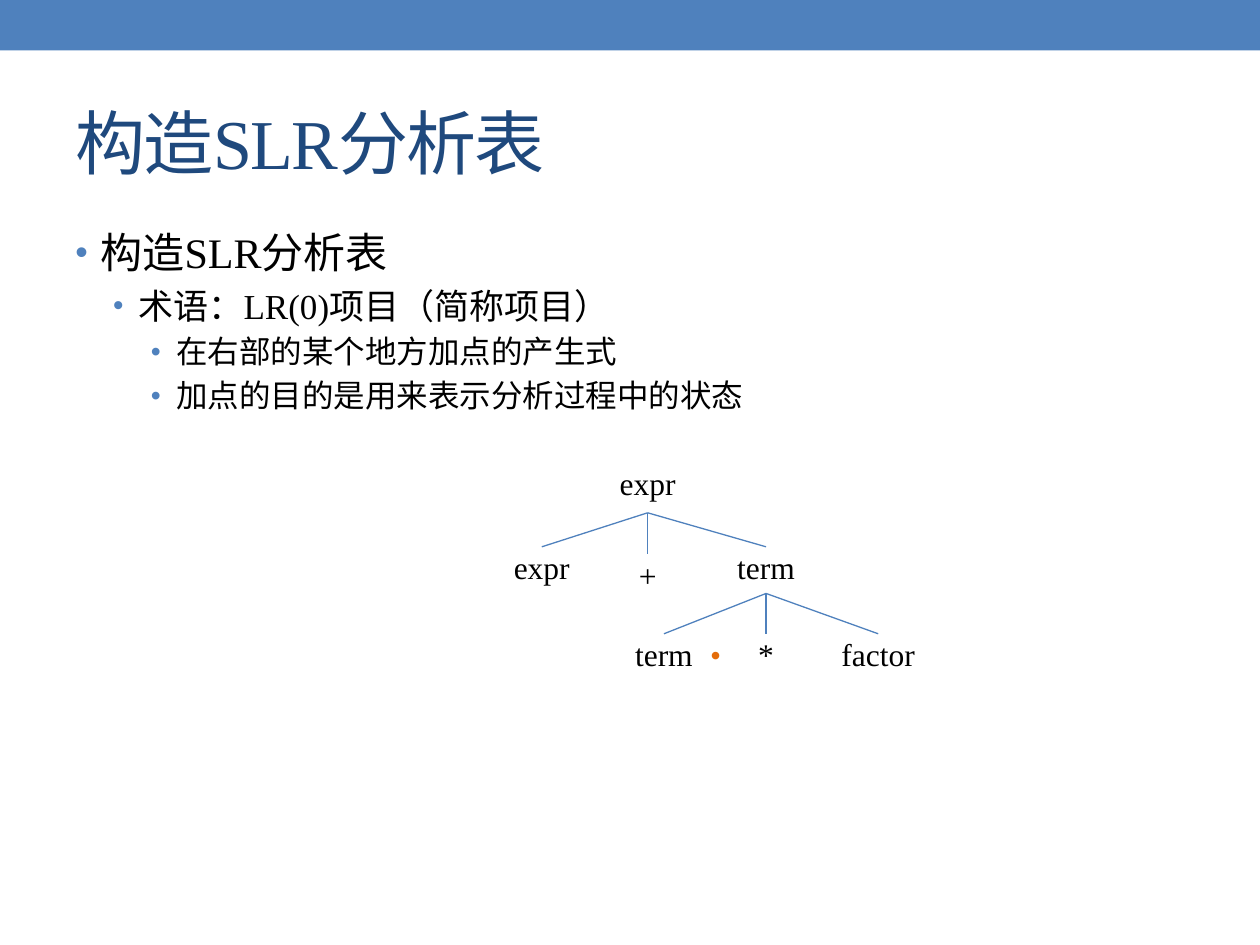
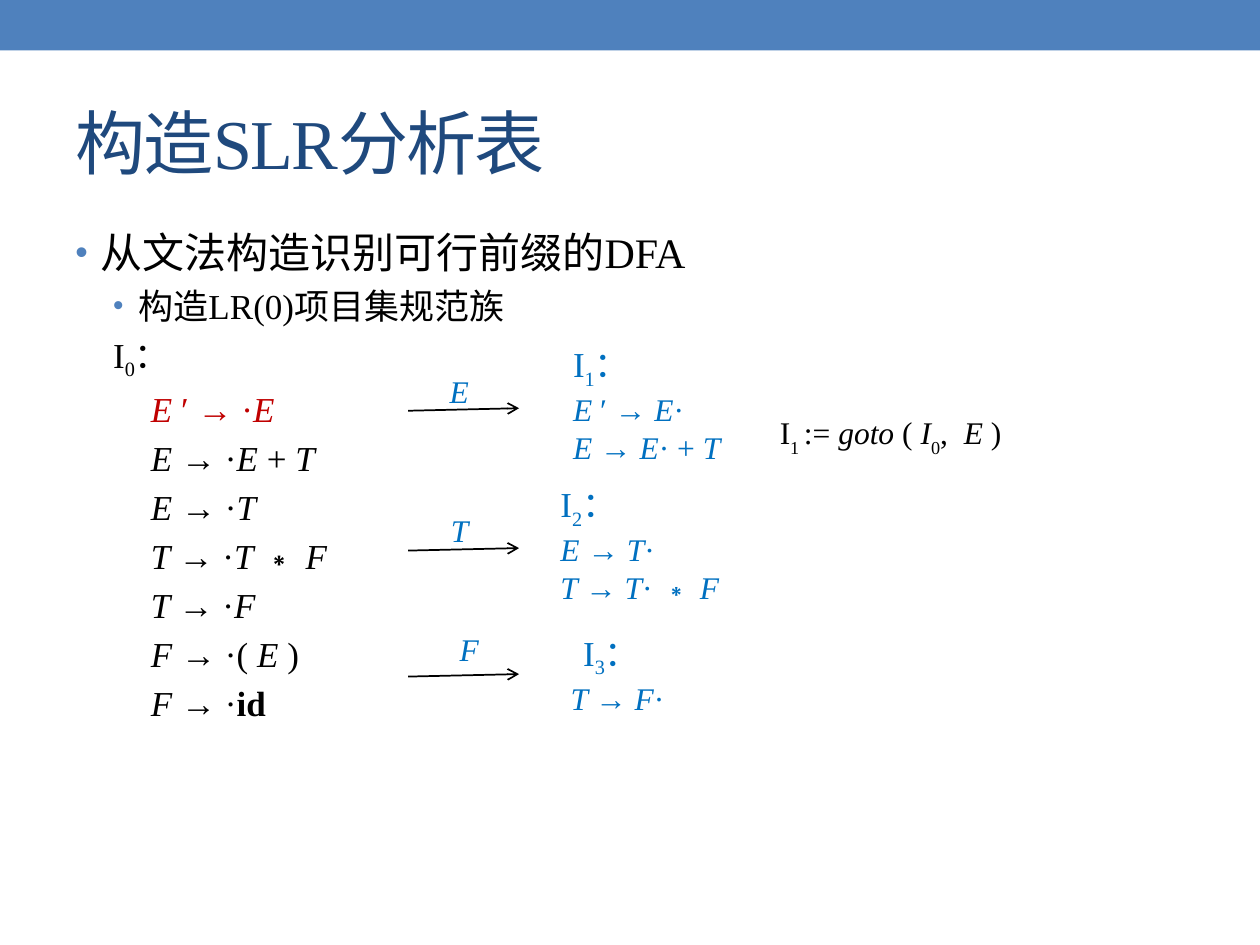
"""Two lecture slides on building SLR parsing tables."""
from dataclasses import dataclass
from typing import Any, Optional

import pptx
import pptx.dml.color
import pptx.enum.shapes
import pptx.enum.text
import pptx.oxml
import pptx.oxml.ns
import pptx.util

Inches = pptx.util.Inches
Align = pptx.enum.text.PP_ALIGN
Fit = pptx.enum.text.MSO_AUTO_SIZE
FONT = "Times New Roman"
TITLE = "构造SLR分析表"
COLOURS = {"band": "4F81BD", "title": "1F497D", "text": "000000",
           "dot": "E46C0A", "start": "C00000", "item": "0070C0"}
# Each marker switches one kind of formatting on or off inside a text.
MARKERS = {"_": "italic", "#": "bold", "~": "subscript"}
TREE_INSETS = (0.02, 0.01)
BOX_INSETS = (0.1, 0.05)


@dataclass
class Para:
    """A paragraph in marker notation; lengths in inches, sizes in points."""
    text: str
    size: int = 18
    colour: str = "text"
    left: float = 0
    bullet: int = 0  # bullet size in percent, 0 for none
    gap: float = 0  # space before, as a share of the text size
    align: Any = Align.LEFT
    base: int = -25  # subscript shift in percent


@dataclass
class Node:
    """A tree label, placed by the middle of its top edge."""
    text: str
    x: float
    y: float
    w: float = 0.64
    h: float = 0.37
    parent: Optional[int] = None
    colour: str = "text"


@dataclass
class Transition:
    """An arrow from the first item set to another one."""
    label: str
    label_at: tuple[float, float]
    arrow_y: float
    set_at: tuple[float, float]
    set_h: float
    items: list[Para]


def rgb(name: str) -> pptx.dml.color.RGBColor:
    """Look up a named colour."""
    return pptx.dml.color.RGBColor.from_string(COLOURS[name])


def apply(obj: Any, formats: dict[str, Any]) -> None:
    """Set attributes from a dict of format values."""
    for name, value in formats.items():
        setattr(obj, name, value)


def add_xml(parent: Any, tag: str, **attrs: str) -> Any:
    """Append a drawing element."""
    child = pptx.oxml.parse_xml(f'<a:{tag} {pptx.oxml.ns.nsdecls("a")}/>')
    for name, value in attrs.items():
        child.set(name, value)
    parent.append(child)
    return child


def add_run(p: Any, text: str, para: Para, on: dict[str, bool]) -> None:
    """Add one run with the switched-on formatting."""
    r = p.add_run()
    r.text = text
    apply(r.font, {"name": FONT, "size": pptx.util.Pt(para.size),
                   "italic": on["italic"], "bold": on["bold"]})
    r.font.color.rgb = rgb(para.colour)
    if on["subscript"]:
        r.font._element.set("baseline", str(para.base * 1000))


def fill_para(p: Any, para: Para) -> None:
    """Write a paragraph: spacing, indent, bullet and runs."""
    apply(p, {"alignment": para.align,
              "space_before": pptx.util.Pt(round(para.gap * para.size, 1))})
    pPr = p._p.get_or_add_pPr()
    pPr.set("marL", str(Inches(para.left)))
    pPr.set("indent", str(Inches(-0.2 if para.bullet else 0)))
    if para.bullet:
        add_xml(add_xml(pPr, "buClr"), "srgbClr", val=COLOURS["band"])
        add_xml(pPr, "buSzPct", val=str(para.bullet * 1000))
        add_xml(pPr, "buFont", typeface="Arial")
        add_xml(pPr, "buChar", char="•")
    else:
        add_xml(pPr, "buNone")
    on = dict.fromkeys(MARKERS.values(), False)
    chunk = ""
    for char in para.text:
        if char not in MARKERS:
            chunk += char
            continue
        if chunk:
            add_run(p, chunk, para, on)
        chunk = ""
        on[MARKERS[char]] = not on[MARKERS[char]]
    if chunk:
        add_run(p, chunk, para, on)


def add_text(shapes: Any, box: tuple[float, ...], paras: list[Para],
             insets: tuple[float, float] = BOX_INSETS, fit: Any = Fit.NONE) -> None:
    """Add a wrapping text box with the given paragraphs."""
    tf = shapes.add_textbox(*map(Inches, box)).text_frame
    side, top = map(Inches, insets)
    apply(tf, {"word_wrap": True, "auto_size": fit, "margin_left": side,
               "margin_right": side, "margin_top": top, "margin_bottom": top})
    for i, para in enumerate(paras):
        fill_para(tf.add_paragraph() if i else tf.paragraphs[0], para)


def add_line(shapes: Any, ends: tuple[float, ...], colour: str, width: float,
             arrow: bool = False) -> None:
    """Add a straight line, with an open arrowhead if asked."""
    line = shapes.add_connector(pptx.enum.shapes.MSO_CONNECTOR.STRAIGHT,
                                *map(Inches, ends))
    line.line.color.rgb = rgb(colour)
    line.line.width = pptx.util.Pt(width)
    if arrow:
        add_xml(line.line._get_or_add_ln(), "tailEnd", type="arrow")
    add_xml(line._element.spPr, "effectLst")


def add_slide(prs: Any, body: list[Para]) -> Any:
    """Add a slide with the shared band and title, and its body text."""
    s = prs.slides.add_slide(prs.slide_layouts[5])
    band = s.shapes.add_shape(pptx.enum.shapes.MSO_SHAPE.RECTANGLE, 0, 0,
                              prs.slide_width, Inches(0.4))
    band.shadow.inherit = False
    band.fill.solid()
    band.fill.fore_color.rgb = rgb("band")
    band.line.fill.background()

    sp = s.shapes.title
    apply(sp, {"left": Inches(0.5), "top": Inches(0.58),
               "width": Inches(9), "height": Inches(1.08)})
    apply(sp.text_frame, {"vertical_anchor": pptx.enum.text.MSO_ANCHOR.MIDDLE,
                          "word_wrap": True, "auto_size": Fit.NONE})
    p = sp.text_frame.paragraphs[0]
    fill_para(p, Para(TITLE, 40, "title"))
    p.runs[0].font._element.set("spc", "-100")

    add_text(s.shapes, (0.5, 1.75, 9, 5.33), body)
    return s


def bullet(text: str, level: int) -> Para:
    """Make a bulleted body paragraph of level 0, 1 or 2."""
    return Para(text, (24, 20, 18)[level], left=round(0.2 + 0.3 * level, 2),
                bullet=(85, 85, 90)[level], gap=0.2)


def production(text: str, colour: str = "text") -> Para:
    """Make a body paragraph for one item of the first set."""
    return Para(text, 20, colour, left=0.6, gap=0.2)


def add_tree(s: Any, nodes: list[Node]) -> None:
    """Draw a parse tree with lines from each parent to its children."""
    shapes = s.shapes.add_group_shape().shapes
    for n in nodes:
        add_text(shapes, (n.x - n.w / 2, n.y, n.w, n.h),
                 [Para(n.text, colour=n.colour, align=Align.CENTER)], TREE_INSETS)
        if n.parent is not None:
            top = nodes[n.parent]
            add_line(shapes, (top.x, top.y + top.h, n.x, n.y), "band", 0.75)


def add_transition(s: Any, t: Transition) -> None:
    """Draw an arrow, its label and the item set it leads to."""
    shapes = s.shapes.add_group_shape().shapes
    add_line(shapes, (3.24, t.arrow_y, 4.12, t.arrow_y - 0.02), "text", 1, True)
    add_text(shapes, (*t.label_at, 0.46, 0.4),
             [Para(f"_{t.label}_", colour="item")], fit=Fit.SHAPE_TO_FIT_TEXT)
    add_text(shapes, (*t.set_at, 2.84, t.set_h), t.items,
             fit=Fit.SHAPE_TO_FIT_TEXT)


def item_set(number: int, items: list[str], head_left: float = 0,
             left: float = 0) -> list[Para]:
    """Make the heading and the items of a numbered set."""
    head = Para(f"I~{number}~：", 20, "item", head_left)
    return [head] + [Para(text, 18, "item", left) for text in items]


TERMS = [bullet("构造SLR分析表", 0),
         bullet("术语：LR(0)项目（简称项目）", 1),
         bullet("在右部的某个地方加点的产生式", 2),
         bullet("加点的目的是用来表示分析过程中的状态", 2)]

TREE = [Node("expr", 5.14, 3.67, 0.69, 0.4),
        Node("expr", 4.3, 4.34, parent=0),
        Node("+", 5.14, 4.4, 0.38, 0.24, parent=0),
        Node("term", 6.08, 4.34, parent=0),
        Node("term", 5.27, 5.03, parent=3),
        Node("*", 6.08, 5.03, 0.38, 0.24, parent=3),
        Node("factor", 6.97, 5.03, parent=3),
        Node("•", 5.68, 5.03, 0.4, 0.3, colour="dot")]

FIRST_SET = [bullet("从文法构造识别可行前缀的DFA", 0),
             bullet("构造LR(0)项目集规范族", 1),
             Para("I~0~：", 20, left=0.3, gap=0.2),
             production("_E _′ → ·_E_", "start"),
             production("_E _→ ·_E _+ _T _"),
             production("_E _→ ·_T_"),
             production("_T _→ ·_T _∗_ F_"),
             production("_T _→ ·_F_"),
             production("_F _→ ·( _E _)"),
             production("_F _→ ·#id#")]

TRANSITIONS = [
    Transition("E", (3.47, 2.9), 3.26, (4.35, 2.67), 1.04,
               item_set(1, ["_E _′ → _E_·", "_E _→ _E_· + _T _"], 0.1, 0.1)),
    Transition("T", (3.48, 4.01), 4.37, (4.35, 3.78), 1.04,
               item_set(2, ["_E _→ _T_·", "_T _→ _T_· ∗_ F_"])),
    Transition("F", (3.55, 4.95), 5.37, (4.43, 4.96), 0.74,
               item_set(3, ["_T _→ _F_·"], 0.1)),
]


def main() -> None:
    """Build both slides and save them."""
    prs = pptx.Presentation()
    prs.slide_width, prs.slide_height = Inches(10), Inches(7.5)

    add_tree(add_slide(prs, TERMS), TREE)

    s = add_slide(prs, FIRST_SET)
    for t in TRANSITIONS:
        add_transition(s, t)
    add_text(s.shapes, (6.09, 3.23, 2.92, 0.4),
             [Para("I~1 ~:= _goto_ ( _I_~0~,  _E _)", base=-30)],
             fit=Fit.SHAPE_TO_FIT_TEXT)

    prs.save("out.pptx")


main()
